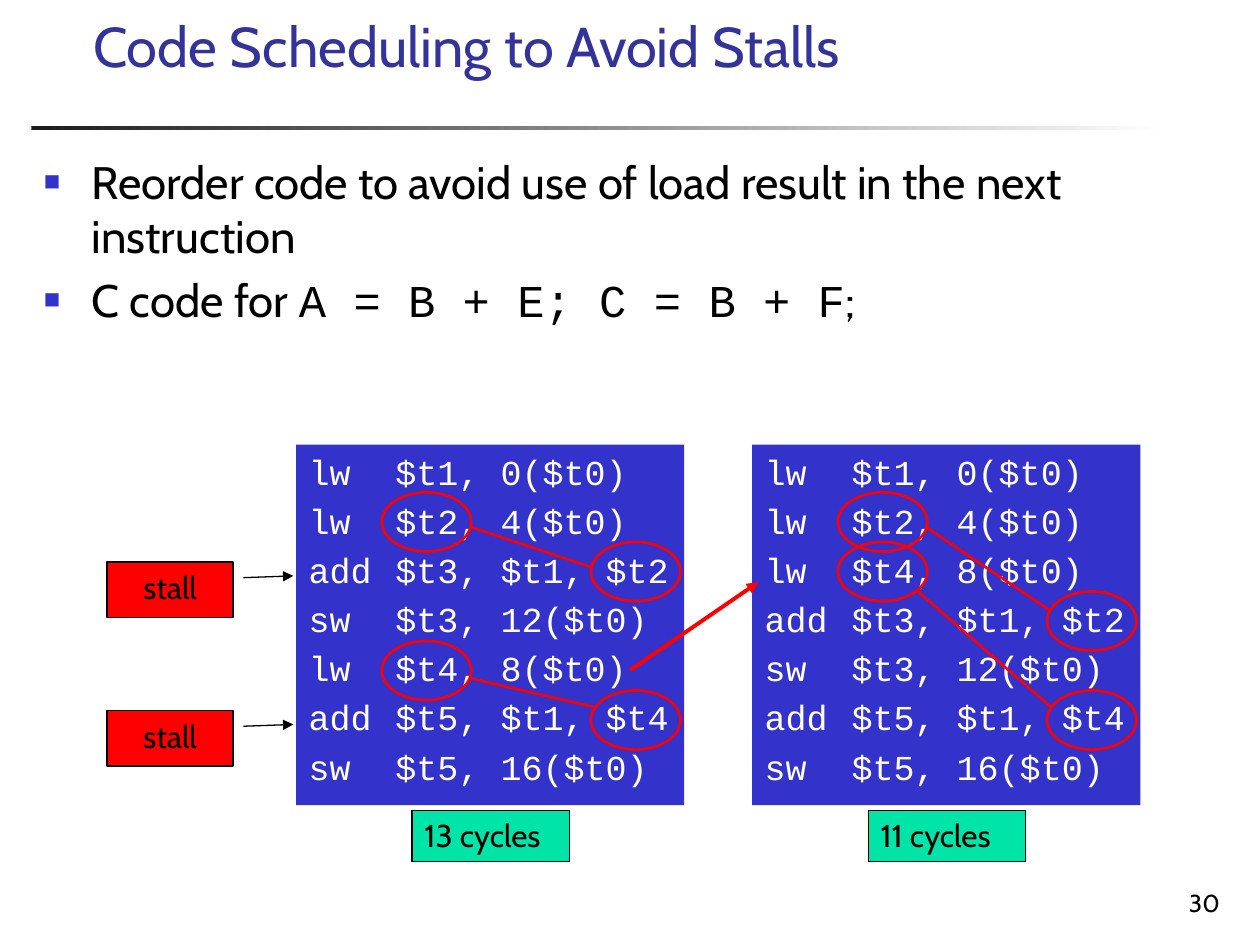
from lxml.etree import SubElement
from pptx import Presentation
from pptx.dml.color import RGBColor
from pptx.enum.shapes import MSO_CONNECTOR, MSO_SHAPE
from pptx.enum.text import MSO_ANCHOR, PP_ALIGN
from pptx.oxml import parse_xml
from pptx.oxml.ns import nsdecls, qn
from pptx.util import Inches, Pt

COLORS = {
    "title": "333399", "text": "000000", "bullet": "3333CC", "panel": "3333CC",
    "code": "FFFFFF", "accent": "FF0000", "cycles": "00E4A8",
    "rule_start": "1C1C1C", "rule_end": "FFFFFF",
}
BODY_FONT, CODE_FONT = "Cabin", "Courier New"
WIDTH, HEIGHT = Inches(10), Inches(7.5)
COLUMN, ROW = WIDTH / 100, HEIGHT / 75
CODE_PITCH = 3.93
FIRST_LINE = 2.2
TARGET, SOURCE = 10.35, 26.95


def color(name):
    return RGBColor.from_string(COLORS[name])


def place(left, top, width, height):
    return round(left * COLUMN), round(top * ROW), round(width * COLUMN), round(height * ROW)


def style(paragraph, size, name="text", font=BODY_FONT):
    paragraph.font.size = Pt(size)
    paragraph.font.name = font
    paragraph.font.color.rgb = color(name)


def space_before(paragraph):
    properties = paragraph._p.get_or_add_pPr()
    properties.append(parse_xml(
        f'<a:spcBef {nsdecls("a")}><a:spcPct val="20000"/></a:spcBef>'))
    return properties


def add_arrowhead(line):
    SubElement(line._get_or_add_ln(), qn("a:tailEnd"), type="triangle")


def add_box(slide, box, fill=None, line=None, weight=0.75, kind=MSO_SHAPE.RECTANGLE):
    shape = slide.shapes.add_shape(kind, *place(*box))
    shape.shadow.inherit = False
    if fill:
        shape.fill.solid()
        shape.fill.fore_color.rgb = color(fill)
    else:
        shape.fill.background()
    if line:
        shape.line.color.rgb = color(line)
        shape.line.width = Pt(weight)
    else:
        shape.line.fill.background()
    return shape


def add_line(slide, start, end, weight=1.5, arrow=False):
    left, top, right, bottom = place(*start, *end)
    connector = slide.shapes.add_connector(MSO_CONNECTOR.STRAIGHT, left, top, right, bottom)
    connector.line.color.rgb = color("accent")
    connector.line.width = Pt(weight)
    if arrow:
        add_arrowhead(connector.line)
    SubElement(connector._element.spPr, qn("a:effectLst"))


def add_label(slide, box, text, size, name="text", align=PP_ALIGN.LEFT):
    frame = slide.shapes.add_textbox(*place(*box)).text_frame
    frame.word_wrap = True
    frame.vertical_anchor = MSO_ANCHOR.BOTTOM
    paragraph = frame.paragraphs[0]
    paragraph.text = text
    paragraph.alignment = align
    style(paragraph, size, name)


def add_rule(slide, box):
    rule = add_box(slide, box)
    rule.fill.gradient()
    rule.fill.gradient_angle = 0
    for stop, name in zip(rule.fill.gradient_stops, ("rule_start", "rule_end")):
        stop.color.rgb = color(name)


def add_bullets(slide, box, items):
    frame = slide.shapes.add_textbox(*place(*box)).text_frame
    frame.word_wrap = True
    for index, runs in enumerate(items):
        paragraph = frame.add_paragraph() if index else frame.paragraphs[0]
        style(paragraph, 26)
        properties = space_before(paragraph)
        properties.set("marL", str(Inches(0.38)))
        properties.set("indent", str(-Inches(0.38)))
        bullet_color = SubElement(properties, qn("a:buClr"))
        SubElement(bullet_color, qn("a:srgbClr"), val=COLORS["bullet"])
        SubElement(properties, qn("a:buSzPct"), val="60000")
        SubElement(properties, qn("a:buFont"), typeface="Arial")
        SubElement(properties, qn("a:buChar"), char="■")
        for text, font in runs:
            run = paragraph.add_run()
            run.text = text
            run.font.name = font
            run.font.size = Pt(26)
            run.font.color.rgb = color("text")


def add_code_panel(slide, box, instructions):
    frame = add_box(slide, box, "panel").text_frame
    frame.word_wrap = False
    frame.vertical_anchor = MSO_ANCHOR.TOP
    for index, instruction in enumerate(instructions):
        paragraph = frame.add_paragraph() if index else frame.paragraphs[0]
        paragraph.text = "\t".join(instruction.split(" ", 1))
        paragraph.alignment = PP_ALIGN.LEFT
        style(paragraph, 20, "code", CODE_FONT)
        tabs = SubElement(space_before(paragraph), qn("a:tabLst"))
        SubElement(tabs, qn("a:tab"), pos=str(Inches(0.69)), algn="l")


def add_stall(slide, box):
    callout = add_box(slide, box, "accent", "text", kind=MSO_SHAPE.LINE_CALLOUT_1)
    for index, value in enumerate((0.285, 1.083, 0.253, 1.479)):
        callout.adjustments[index] = value
    add_arrowhead(callout.line)
    frame = callout.text_frame
    frame.vertical_anchor = MSO_ANCHOR.TOP
    paragraph = frame.paragraphs[0]
    paragraph.text = "stall"
    paragraph.alignment = PP_ALIGN.CENTER
    style(paragraph, 18)


def add_dependencies(slide, box, circles, links):
    left, top = box[:2]
    for column, line in circles:
        center = top + FIRST_LINE + line * CODE_PITCH
        add_box(slide, (left + column - 3.55, center - 2.35, 7.1, 4.7),
                line="accent", weight=1.5, kind=MSO_SHAPE.OVAL)
    for start, end in links:
        add_line(slide, *((left + x, top + y) for x, y in (start, end)))


def add_cycles(slide, box, text):
    left, top, _, height = box
    frame = add_box(slide, (left + 9.2, top + height + 0.4, 12.5, 4.1),
                    "cycles", "text").text_frame
    frame.word_wrap = False
    frame.vertical_anchor = MSO_ANCHOR.TOP
    paragraph = frame.paragraphs[0]
    paragraph.text = text
    paragraph.alignment = PP_ALIGN.LEFT
    style(paragraph, 18)


SCHEDULES = [
    {"box": (23.5, 35.3, 30.8, 28.6), "cycles": "13 cycles",
     "code": ["lw $t1, 0($t0)", "lw $t2, 4($t0)", "add $t3, $t1, $t2",
              "sw $t3, 12($t0)", "lw $t4, 8($t0)", "add $t5, $t1, $t4",
              "sw $t5, 16($t0)"],
     "circles": [(TARGET, 1), (SOURCE, 2), (TARGET, 4), (SOURCE, 5)],
     "links": [((13.8, 6.5), (23.4, 9.7)), ((13.7, 18.5), (23.6, 20.8))]},
    {"box": (59.7, 35.3, 30.8, 28.6), "cycles": "11 cycles",
     "code": ["lw $t1, 0($t0)", "lw $t2, 4($t0)", "lw $t4, 8($t0)",
              "add $t3, $t1, $t2", "sw $t3, 12($t0)", "add $t5, $t1, $t4",
              "sw $t5, 16($t0)"],
     "circles": [(TARGET, 1), (SOURCE, 3), (SOURCE, 5), (TARGET, 2)],
     "links": [((13.9, 6.6), (23.7, 13.2)), ((13.1, 11.6), (23.7, 20.8))]},
]


presentation = Presentation()
presentation.slide_width, presentation.slide_height = WIDTH, HEIGHT
slide = presentation.slides.add_slide(presentation.slide_layouts[6])
add_rule(slide, (2.5, 10, 90, 0.3))
add_label(slide, (6.4, 1.5, 88.6, 5.2), "Code Scheduling to Avoid Stalls", 32, "title")
add_bullets(slide, (2.5, 11.7, 95.4, 55.4), [
    [("Reorder code to avoid use of load result in the next instruction", BODY_FONT)],
    [("C code for ", BODY_FONT), ("A = B + E; C = B + F", CODE_FONT), (";", BODY_FONT)],
])
add_label(slide, (77, 68.3, 20.8, 5), "30", 14, align=PP_ALIGN.RIGHT)
for schedule in SCHEDULES:
    add_code_panel(slide, schedule["box"], schedule["code"])
for line in (2, 5):
    add_stall(slide, (8.5, 36.74 + line * CODE_PITCH, 10, 4.4))
add_line(slide, (50, 53.2), (60.2, 46.2), 2.25, True)
for schedule in SCHEDULES:
    add_dependencies(slide, schedule["box"], schedule["circles"], schedule["links"])
    add_cycles(slide, schedule["box"], schedule["cycles"])
presentation.save("out.pptx")
